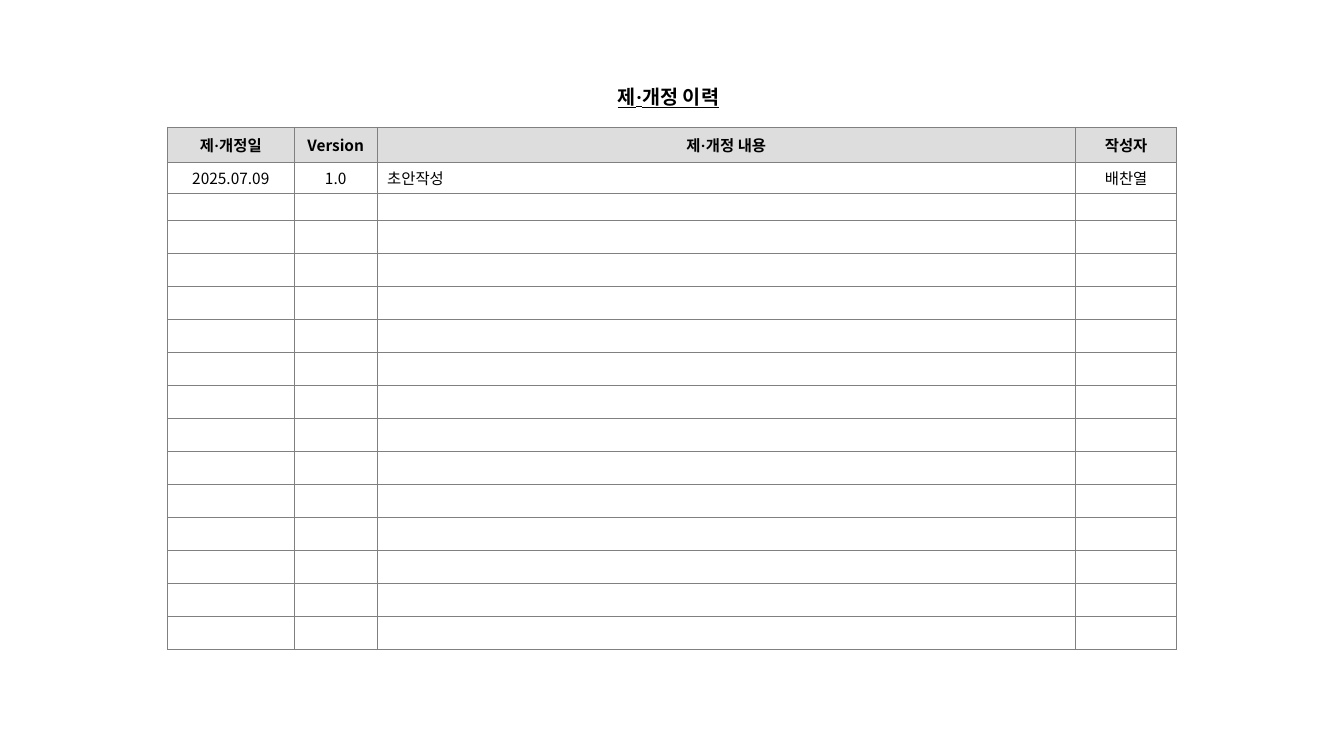
import dataclasses

import lxml.etree
import pptx
import pptx.dml.color
import pptx.enum.text
import pptx.oxml.ns
import pptx.util

Inches = pptx.util.Inches
Align = pptx.enum.text.PP_ALIGN
MIDDLE = pptx.enum.text.MSO_ANCHOR.MIDDLE

COLORS = {"text": "000000", "header": "DDDDDD", "body": "FFFFFF", "border": "808080"}
KOREAN_FONT = "Noto Sans CJK KR"
DOT = "·"
DOT_FONT = "Times New Roman"

TITLE = "제·개정 이력"
TITLE_FORMAT = {"size": pptx.util.Pt(14), "bold": True, "underline": True}
HEADER_FORMAT = {"size": pptx.util.Pt(11), "bold": True}
BODY_FORMAT = {"size": pptx.util.Pt(11), "bold": False}
EMPTY_CELL_SIZE = 8

TABLE_HEIGHT = 5.19
FIRST_ROW_HEIGHTS = [0.35, 0.31, 0.27]
EQUAL_ROW_COUNT = 13


@dataclasses.dataclass(frozen=True)
class Column:
    heading: str
    first_entry: str
    width: float
    alignment: Align = Align.CENTER


COLUMNS = [
    Column("제·개정일", "2025.07.09", 1.26),
    Column("Version", "1.0", 0.82),
    Column("제·개정 내용", "초안작성", 6.93, Align.LEFT),
    Column("작성자", "배찬열", 1.0),
]


def rgb(name: str) -> pptx.dml.color.RGBColor:
    return pptx.dml.color.RGBColor.from_string(COLORS[name])


def set_attributes(target, values: dict) -> None:
    for name, value in values.items():
        setattr(target, name, value)


def add_run(paragraph, text: str, typeface: str, font_format: dict) -> None:
    run = paragraph.add_run()
    run.text = text
    set_attributes(run.font, {"name": typeface, **font_format})
    run.font.color.rgb = rgb("text")
    east_asian = lxml.etree.Element(pptx.oxml.ns.qn("a:ea"), typeface=typeface)
    run.font._element.find(pptx.oxml.ns.qn("a:latin")).addnext(east_asian)


def write_text(paragraph, text: str, alignment: Align, font_format: dict) -> None:
    """Write Korean text, giving the middle dot a typeface of its own."""
    paragraph.alignment = alignment
    before, dot, after = text.partition(DOT)
    for part, typeface in ((before, KOREAN_FONT), (dot, DOT_FONT), (after, KOREAN_FONT)):
        if part:
            add_run(paragraph, part, typeface, font_format)


def add_borders(cell) -> None:
    properties = cell._tc.get_or_add_tcPr()
    for side in ("lnL", "lnR", "lnT", "lnB"):
        line = lxml.etree.SubElement(
            properties, pptx.oxml.ns.qn(f"a:{side}"), w=str(pptx.util.Pt(0.75))
        )
        fill = lxml.etree.SubElement(line, pptx.oxml.ns.qn("a:solidFill"))
        lxml.etree.SubElement(fill, pptx.oxml.ns.qn("a:srgbClr"), val=COLORS["border"])


def format_cell(cell, fill_name: str) -> None:
    margins = {"margin_top": Inches(0.03), "margin_bottom": Inches(0.03)}
    set_attributes(cell, {"vertical_anchor": MIDDLE, **margins})
    add_borders(cell)
    cell.fill.solid()
    cell.fill.fore_color.rgb = rgb(fill_name)


def shrink_empty_cell(cell) -> None:
    """Keep the default text size from making an empty row taller."""
    lxml.etree.SubElement(
        cell.text_frame.paragraphs[0]._p,
        pptx.oxml.ns.qn("a:endParaRPr"),
        sz=str(EMPTY_CELL_SIZE * 100),
    )


def add_title(slide) -> None:
    title = slide.shapes.title
    position = {"left": 3.24, "top": 0.79, "width": 6.78, "height": 0.33}
    set_attributes(title, {name: Inches(value) for name, value in position.items()})
    frame_format = {
        "vertical_anchor": MIDDLE,
        "word_wrap": True,
        "auto_size": pptx.enum.text.MSO_AUTO_SIZE.NONE,
        "margin_top": 0,
        "margin_bottom": 0,
    }
    set_attributes(title.text_frame, frame_format)
    write_text(title.text_frame.paragraphs[0], TITLE, Align.CENTER, TITLE_FORMAT)


def add_history_table(slide) -> None:
    equal_height = (TABLE_HEIGHT - sum(FIRST_ROW_HEIGHTS)) / EQUAL_ROW_COUNT
    heights = FIRST_ROW_HEIGHTS + [equal_height] * EQUAL_ROW_COUNT
    width = sum(column.width for column in COLUMNS)
    table = slide.shapes.add_table(
        len(heights), len(COLUMNS),
        Inches(1.66), Inches(1.26), Inches(width), Inches(TABLE_HEIGHT),
    ).table
    set_attributes(table, {"first_row": False, "horz_banding": False})
    for row, height in zip(table.rows, heights):
        row.height = Inches(height)
    for column_index, column in enumerate(COLUMNS):
        table.columns[column_index].width = Inches(column.width)
        entries = [
            (column.heading, Align.CENTER, HEADER_FORMAT),
            (column.first_entry, column.alignment, BODY_FORMAT),
        ]
        for row_index in range(len(heights)):
            cell = table.cell(row_index, column_index)
            format_cell(cell, "header" if row_index == 0 else "body")
            if row_index < len(entries):
                write_text(cell.text_frame.paragraphs[0], *entries[row_index])
            else:
                shrink_empty_cell(cell)


def main() -> None:
    presentation = pptx.Presentation()
    size = {"slide_width": Inches(13.33), "slide_height": Inches(7.5)}
    set_attributes(presentation, size)
    title_only = presentation.slide_layouts.get_by_name("Title Only")
    slide = presentation.slides.add_slide(title_only)
    add_title(slide)
    add_history_table(slide)
    presentation.save("out.pptx")


if __name__ == "__main__":
    main()
